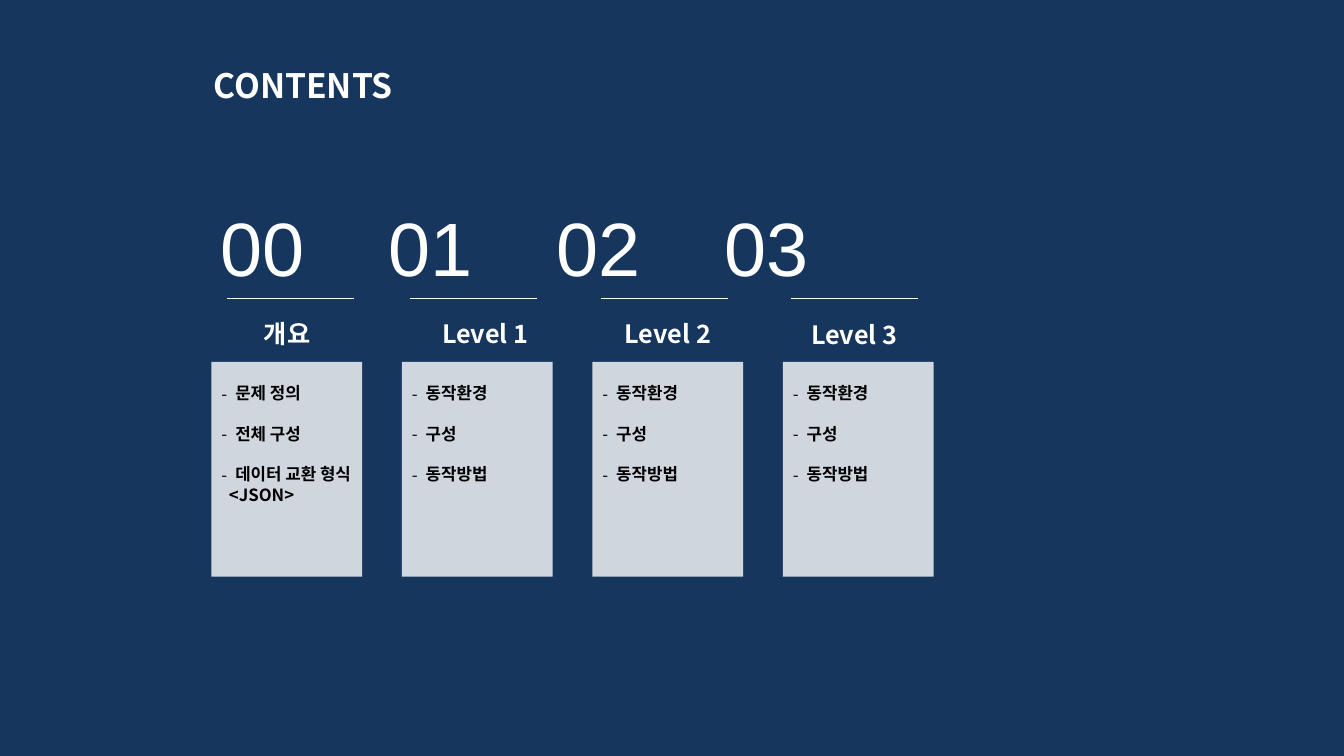
from lxml import etree
from pptx import Presentation
from pptx.dml.color import RGBColor
from pptx.enum.shapes import MSO_CONNECTOR, MSO_SHAPE
from pptx.enum.text import MSO_AUTO_SIZE, PP_ALIGN
from pptx.oxml.ns import qn
from pptx.util import Cm, Pt

STRAIGHT = MSO_CONNECTOR.STRAIGHT
RECTANGLE = MSO_SHAPE.RECTANGLE
FIT_TEXT = MSO_AUTO_SIZE.SHAPE_TO_FIT_TEXT
LEFT, CENTER = PP_ALIGN.LEFT, PP_ALIGN.CENTER

NAVY, WHITE, BLACK = "17365D", "FFFFFF", "000000"
KOREAN_FONT, NUMBER_FONT = "Noto Sans CJK KR", "Arial"

CARD_LEFT, CARD_PITCH, CARD_WIDTH = 5.33, 4.8, 3.8
CARD_TOP, CARD_HEIGHT = 9.12, 5.41
RULE_TOP, RULE_WIDTH = 7.52, 3.2
NUMBER_PITCH = 4.23
BULLET_INDENT, CONTINUATION_INDENT = 0.35, 0.19

LEVEL_TOPICS = ["동작환경", "구성", "동작방법"]
# heading, heading left, top and width, rule left, topics
SECTIONS = [
    ("개요", 5.33, 7.9, 3.81, 5.72, ["문제 정의", "전체 구성", "데이터 교환 형식"]),
    ("Level 1", 9.93, 7.9, 4.6, 10.34, LEVEL_TOPICS),
    ("Level 2", 14.53, 7.9, 4.6, 15.14, LEVEL_TOPICS),
    ("Level 3", 18.92, 7.92, 5.21, 19.94, LEVEL_TOPICS),
]
FORMAT_DETAIL = "<JSON>"


def rgb(value):
    return RGBColor.from_string(value)


class ContentsSlide:
    title_style = {"size": Pt(24), "bold": True, "name": KOREAN_FONT}
    number_style = {"size": Pt(54), "bold": False, "name": NUMBER_FONT}
    heading_style = {"size": Pt(18), "bold": True, "name": KOREAN_FONT}
    topic_style = {"size": Pt(12), "bold": True, "name": KOREAN_FONT}
    topic_gap = Pt(14.5)

    def __init__(self, presentation):
        self.slide = presentation.slides.add_slide(presentation.slide_layouts[6])
        background = self.slide.background.fill
        background.solid()
        background.fore_color.rgb = rgb(NAVY)

    def text_frame(self, left, top, width, height):
        box = self.slide.shapes.add_textbox(Cm(left), Cm(top), Cm(width), Cm(height))
        box.text_frame.word_wrap = True
        box.text_frame.auto_size = FIT_TEXT
        return box.text_frame

    def add_words(self, paragraph, words, style, color=WHITE, align=LEFT):
        paragraph.alignment = align
        run = paragraph.add_run()
        run.text = words
        run.font.color.rgb = rgb(color)
        for attribute, value in style.items():
            setattr(run.font, attribute, value)
        east_asian = etree.SubElement(run._r.get_or_add_rPr(), qn("a:ea"))
        east_asian.set("typeface", style["name"])

    def label(self, words, left, top, width, height, style, align=LEFT):
        paragraph = self.text_frame(left, top, width, height).paragraphs[0]
        self.add_words(paragraph, words, style, align=align)
        return paragraph

    def numbers(self, labels, left, top, width, height):
        """Set the section numbers in one line, spaced by tab stops."""
        line = self.label("\t".join(labels), left, top, width, height, self.number_style)
        stops = etree.SubElement(line._p.get_or_add_pPr(), qn("a:tabLst"))
        for position in range(1, len(labels)):
            stop = etree.SubElement(stops, qn("a:tab"))
            stop.set("pos", str(Cm(NUMBER_PITCH * position)))
            stop.set("algn", "l")

    def rule(self, left, top, width):
        line = self.slide.shapes.add_connector(
            STRAIGHT, Cm(left), Cm(top), Cm(left + width), Cm(top))
        line.line.color.rgb = rgb(WHITE)
        line.line.width = Pt(0.75)
        etree.SubElement(line._element.spPr, qn("a:effectLst"))

    def card(self, left, top, width, height):
        panel = self.slide.shapes.add_shape(
            RECTANGLE, Cm(left), Cm(top), Cm(width), Cm(height))
        panel.shadow.inherit = False
        panel.line.fill.background()
        panel.fill.solid()
        panel.fill.fore_color.rgb = rgb(WHITE)
        color = panel._element.spPr.find(qn("a:solidFill"))[0]
        etree.SubElement(color, qn("a:alpha")).set("val", "80000")

    def topics(self, items, left, top, width, height):
        """Add a dashed list and return its text frame."""
        frame = self.text_frame(left, top, width, height)
        for index, item in enumerate(items):
            paragraph = frame.add_paragraph() if index else frame.paragraphs[0]
            if index:
                paragraph.space_before = self.topic_gap
            self.add_words(paragraph, item, self.topic_style, BLACK)
            properties = paragraph._p.get_or_add_pPr()
            properties.set("marL", str(Cm(BULLET_INDENT)))
            properties.set("indent", str(-Cm(BULLET_INDENT)))
            etree.SubElement(properties, qn("a:buFont")).set("typeface", KOREAN_FONT)
            etree.SubElement(properties, qn("a:buChar")).set("char", "-")
        return frame

    def continuation(self, frame, words):
        paragraph = frame.add_paragraph()
        self.add_words(paragraph, words, self.topic_style, BLACK)
        paragraph._p.get_or_add_pPr().set("marL", str(Cm(CONTINUATION_INDENT)))


def main():
    presentation = Presentation()
    presentation.slide_width, presentation.slide_height = Cm(33.87), Cm(19.05)
    contents = ContentsSlide(presentation)

    contents.label("CONTENTS", 5.13, 1.52, 11.61, 1.27, contents.title_style)
    contents.numbers([f"{index:02}" for index in range(len(SECTIONS))],
                     5.31, 4.93, 23.6, 2.57)

    topic_frames = []
    for index, section in enumerate(SECTIONS):
        heading, left, top, width, rule_left, topics = section
        card_left = CARD_LEFT + index * CARD_PITCH
        contents.rule(rule_left, RULE_TOP, RULE_WIDTH)
        contents.label(heading, left, top, width, 1.02, contents.heading_style, CENTER)
        contents.card(card_left, CARD_TOP, CARD_WIDTH, CARD_HEIGHT)
        topic_frames.append(contents.topics(topics, card_left, 9.53, CARD_WIDTH, 2.82))
    contents.continuation(topic_frames[0], FORMAT_DETAIL)

    presentation.save("out.pptx")


if __name__ == "__main__":
    main()
